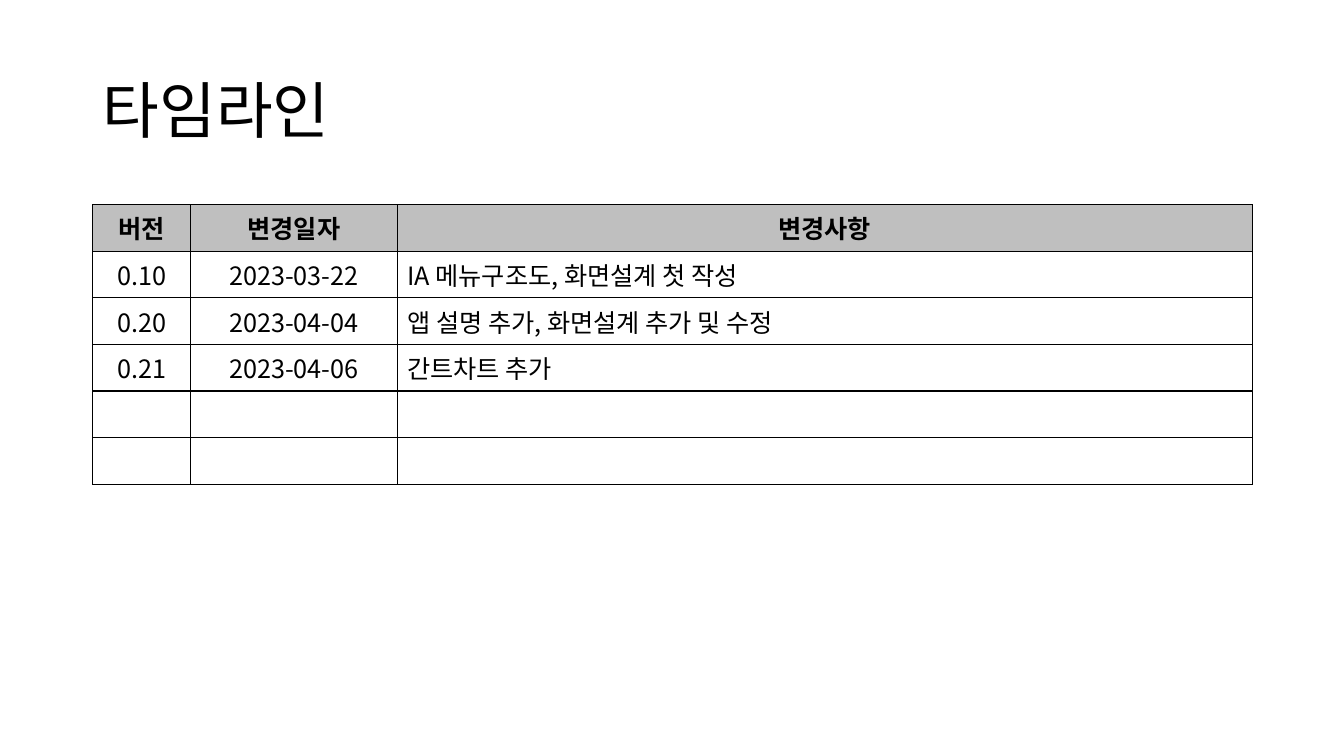
from typing import NamedTuple

from pptx import Presentation
from pptx.dml.color import RGBColor
from pptx.enum.text import MSO_ANCHOR, PP_ALIGN
from pptx.oxml.ns import qn
from pptx.slide import Slide
from pptx.table import _Cell
from pptx.text.text import TextFrame
from pptx.util import Inches, Pt
from lxml.etree import SubElement

FONT = "Noto Sans CJK KR"
BLACK = RGBColor(0x00, 0x00, 0x00)
WHITE = RGBColor(0xFF, 0xFF, 0xFF)
HEADER_GRAY = RGBColor(0xBF, 0xBF, 0xBF)
LEFT, WIDTH = 0.92, 11.5
ROW_HEIGHT = 0.41


class Column(NamedTuple):
    heading: str
    width: float
    align: PP_ALIGN


class Revision(NamedTuple):
    version: str = ""
    date: str = ""
    change: str = ""


COLUMNS = [
    Column("버전", 0.97, PP_ALIGN.CENTER),
    Column("변경일자", 2.05, PP_ALIGN.CENTER),
    Column("변경사항", 8.48, PP_ALIGN.LEFT),
]
REVISIONS = [
    Revision("0.10", "2023-03-22", "IA 메뉴구조도, 화면설계 첫 작성"),
    Revision("0.20", "2023-04-04", "앱 설명 추가, 화면설계 추가 및 수정"),
    Revision("0.21", "2023-04-06", "간트차트 추가"),
    Revision(),
    Revision(),
]


def write_text(frame: TextFrame, text: str, *, size: float = 18, bold: bool = False,
               align: PP_ALIGN = PP_ALIGN.LEFT, line_spacing: float = 1.0) -> None:
    para = frame.paragraphs[0]
    para.alignment = align
    para.line_spacing = line_spacing
    if not text:
        # The end mark's format sets the height of an empty row.
        end_mark = SubElement(para._p, qn("a:endParaRPr"), sz=str(int(size * 100)))
        for script in ("a:latin", "a:ea"):
            SubElement(end_mark, qn(script), typeface=FONT)
        return
    span = para.add_run()
    span.text = text
    span.font.size = Pt(size)
    span.font.bold = bold
    span.font.color.rgb = BLACK
    span.font.name = FONT
    SubElement(span._r.get_or_add_rPr(), qn("a:ea"), typeface=FONT)


def style_cell(cell: _Cell, fill: RGBColor) -> None:
    """Give the cell thin black borders and a solid fill."""
    properties = cell._tc.get_or_add_tcPr()
    for side in ("a:lnL", "a:lnR", "a:lnT", "a:lnB"):
        border = SubElement(properties, qn(side), w=str(Pt(1)))
        solid = SubElement(border, qn("a:solidFill"))
        SubElement(solid, qn("a:srgbClr"), val=str(BLACK))
    cell.fill.solid()
    cell.fill.fore_color.rgb = fill


def add_title(page: Slide) -> None:
    title = page.shapes.title
    title.left, title.top = Inches(LEFT), Inches(0.4)
    title.width, title.height = Inches(WIDTH), Inches(1.45)
    title.text_frame.word_wrap = True
    title.text_frame.vertical_anchor = MSO_ANCHOR.MIDDLE
    write_text(title.text_frame, "타임라인", size=44, line_spacing=0.9)


def add_revision_table(page: Slide) -> None:
    row_count = len(REVISIONS) + 1
    table = page.shapes.add_table(
        row_count, len(COLUMNS), Inches(LEFT), Inches(2.03),
        Inches(WIDTH), Inches(ROW_HEIGHT * row_count)).table
    for index, column in enumerate(COLUMNS):
        table.columns[index].width = Inches(column.width)
        heading = table.cell(0, index)
        style_cell(heading, HEADER_GRAY)
        write_text(heading.text_frame, column.heading, bold=True, align=PP_ALIGN.CENTER)
        for row, revision in enumerate(REVISIONS, start=1):
            cell = table.cell(row, index)
            style_cell(cell, WHITE)
            write_text(cell.text_frame, revision[index], align=column.align)


def main() -> None:
    deck = Presentation()
    deck.slide_width, deck.slide_height = Inches(13.33), Inches(7.5)
    page = deck.slides.add_slide(deck.slide_layouts[5])
    add_title(page)
    add_revision_table(page)
    deck.save("out.pptx")


if __name__ == "__main__":
    main()
